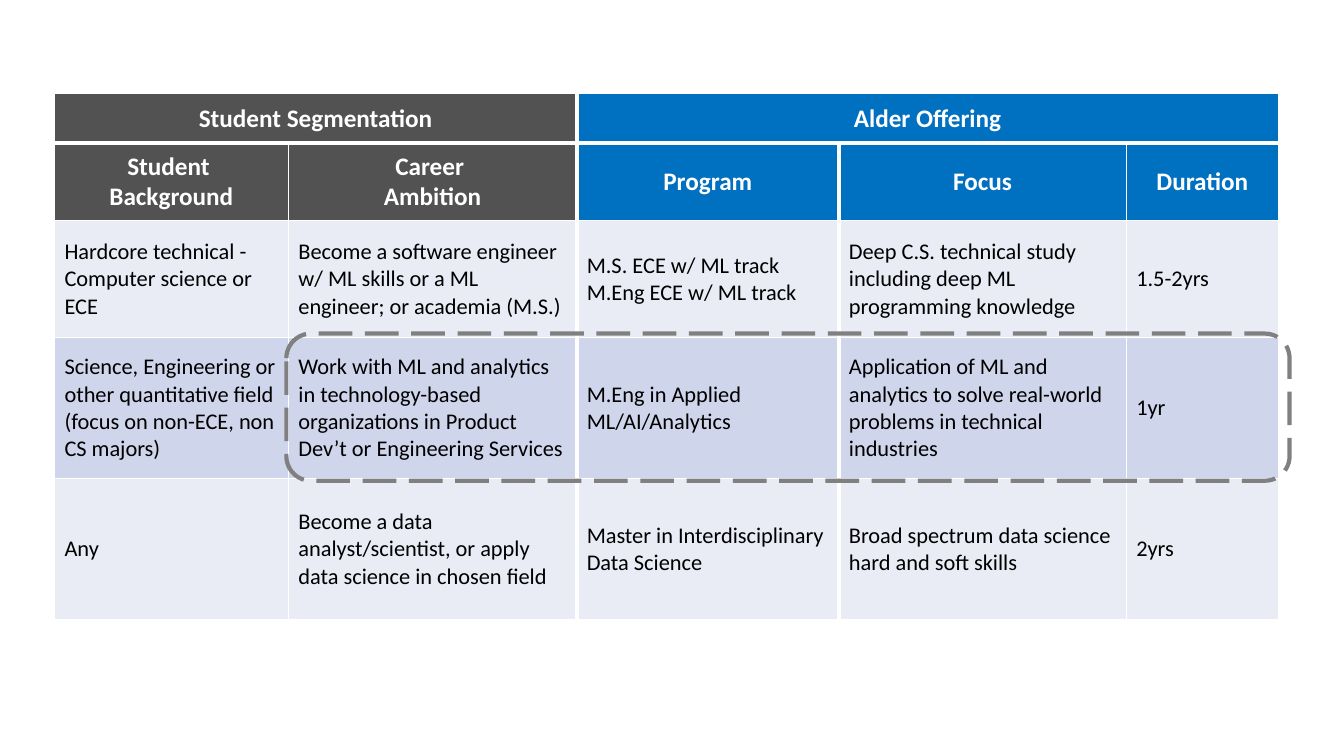
from lxml.etree import SubElement
from pptx import Presentation
from pptx.dml.color import RGBColor
from pptx.enum.dml import MSO_LINE
from pptx.enum.shapes import MSO_SHAPE as Preset
from pptx.enum.text import MSO_ANCHOR as Anchor, PP_ALIGN as Align
from pptx.oxml.ns import qn
from pptx.util import Pt

PX = 9144  # 100 px to the inch
FONT = "Calibri"
COLORS = {
    "white": "FFFFFF", "black": "000000", "segment": "525252", "offering": "0070C0",
    "light band": "E9EBF5", "dark band": "CFD5EA", "highlight": "808080",
}
COLUMN_WIDTHS = [232, 286, 260, 285, 151]
ROW_HEIGHTS = [49, 77, 116, 140, 140]
HEADER_ROWS = 2
SEGMENT_COLUMNS = 2
THICK_COLUMN_EDGES = {2, 3}
THICK_ROW_EDGES = {1}

# Each cell is one string; a line break starts a new paragraph
PROGRAMS = [
    ["Student Segmentation", "", "Alder Offering", "", ""],
    ["Student \nBackground", "Career \nAmbition", "Program", "Focus", "Duration"],
    ["Hardcore technical - Computer science or ECE",
     "Become a software engineer w/ ML skills or a ML engineer; or academia (M.S.)",
     "M.S. ECE w/ ML track\nM.Eng ECE w/ ML track",
     "Deep C.S. technical study including deep ML programming knowledge",
     "1.5-2yrs"],
    ["Science, Engineering or other quantitative field\n(focus on non-ECE, non CS majors)",
     "Work with ML and analytics in technology-based organizations in Product "
     "Dev’t or Engineering Services",
     "M.Eng in Applied ML/AI/Analytics",
     "Application of ML and analytics to solve real-world problems in technical industries",
     "1yr"],
    ["Any",
     "Become a data analyst/scientist, or apply data science in chosen field",
     "Master in Interdisciplinary Data Science",
     "Broad spectrum data science hard and soft skills",
     "2yrs"],
]


def color(name):
    return RGBColor.from_string(COLORS[name])


def scaled(*lengths):
    return [length * PX for length in lengths]


def add_border(cell, side, points):
    edge = SubElement(cell._tc.get_or_add_tcPr(), qn(f"a:ln{side}"), w=str(Pt(points)))
    fill = SubElement(edge, qn("a:solidFill"))
    SubElement(fill, qn("a:srgbClr"), val=COLORS["white"])


def write_cell(cell, text, is_header):
    cell.vertical_anchor = Anchor.MIDDLE
    frame = cell.text_frame
    for index, line in enumerate(text.split("\n")):
        paragraph = frame.add_paragraph() if index else frame.paragraphs[0]
        paragraph.alignment = Align.CENTER if is_header else Align.LEFT
        run = paragraph.add_run()
        run.text = line
        run.font.name = FONT
        run.font.size = Pt(18 if is_header else 16)
        run.font.bold = is_header
        run.font.color.rgb = color("white" if is_header else "black")


def fill_name(row, column):
    if row < HEADER_ROWS:
        return "segment" if column < SEGMENT_COLUMNS else "offering"
    return "dark band" if (row - HEADER_ROWS) % 2 else "light band"


def add_program_table(slide, left, top):
    table = slide.shapes.add_table(
        len(ROW_HEIGHTS), len(COLUMN_WIDTHS),
        *scaled(left, top, sum(COLUMN_WIDTHS), sum(ROW_HEIGHTS))).table
    for column, width in zip(table.columns, COLUMN_WIDTHS):
        column.width = width * PX
    for row, height in zip(table.rows, ROW_HEIGHTS):
        row.height = height * PX

    # Group headings
    table.cell(0, 0).merge(table.cell(0, SEGMENT_COLUMNS - 1))
    table.cell(0, SEGMENT_COLUMNS).merge(table.cell(0, len(COLUMN_WIDTHS) - 1))

    for r, texts in enumerate(PROGRAMS):
        for c, text in enumerate(texts):
            cell = table.cell(r, c)
            if cell.is_spanned:
                continue
            right = c + (cell.span_width if cell.is_merge_origin else 1)
            for side, edge, thick in (("L", c, THICK_COLUMN_EDGES),
                                      ("R", right, THICK_COLUMN_EDGES),
                                      ("T", r, THICK_ROW_EDGES),
                                      ("B", r + 1, THICK_ROW_EDGES)):
                add_border(cell, side, 3 if edge in thick else 1)
            cell.fill.solid()
            cell.fill.fore_color.rgb = color(fill_name(r, c))
            write_cell(cell, text, r < HEADER_ROWS)


def add_highlight(slide, left, top, width, height):
    highlight = slide.shapes.add_shape(
        Preset.ROUNDED_RECTANGLE, *scaled(left, top, width, height))
    highlight.shadow.inherit = False
    highlight.fill.background()
    highlight.line.color.rgb = color("highlight")
    highlight.line.width = Pt(3)
    highlight.line.dash_style = MSO_LINE.LONG_DASH


def main():
    deck = Presentation()
    deck.slide_width, deck.slide_height = scaled(1333, 750)
    slide = deck.slides.add_slide(deck.slide_layouts[6])
    add_program_table(slide, 54, 93)
    # Dashed frame around the applied program
    add_highlight(slide, 284, 331, 995, 146)
    deck.save("out.pptx")


if __name__ == "__main__":
    main()
